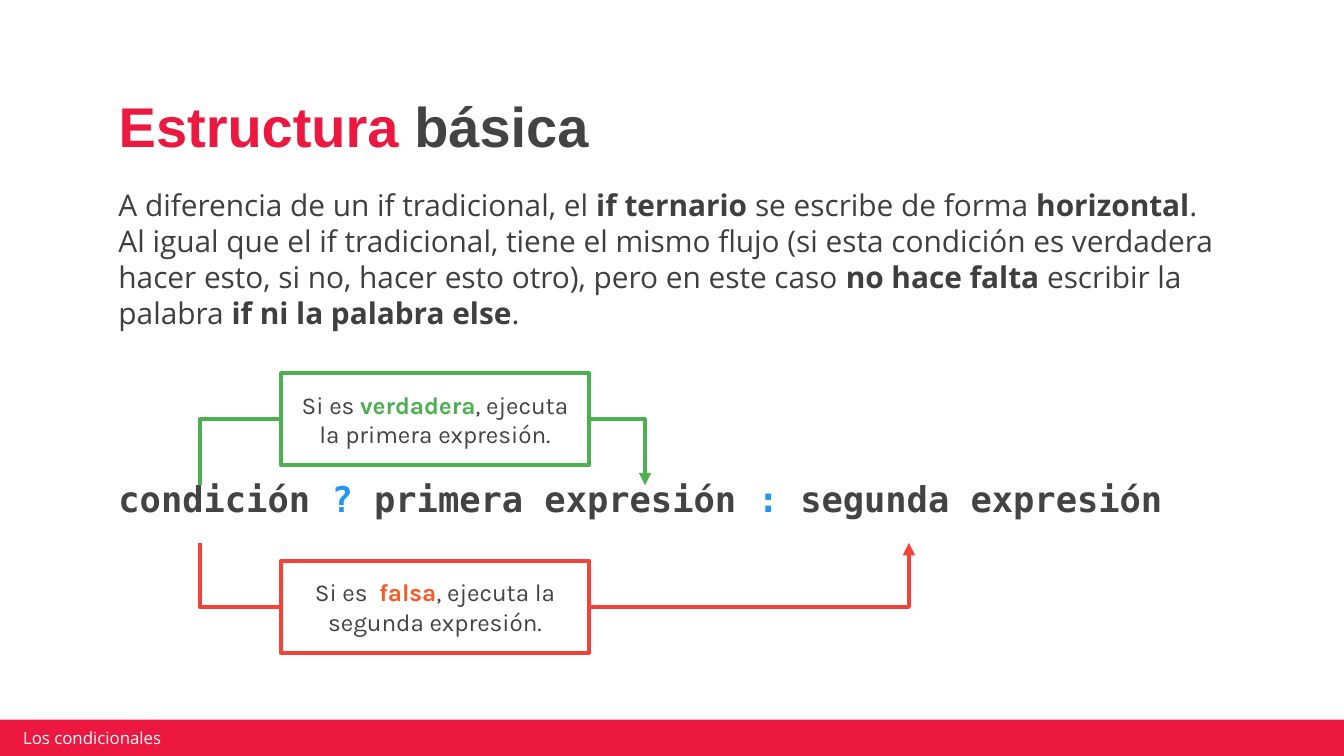
from lxml.etree import SubElement
from pptx import Presentation
from pptx.dml.color import RGBColor
from pptx.enum.shapes import MSO_CONNECTOR, MSO_SHAPE
from pptx.enum.text import MSO_ANCHOR, PP_ALIGN
from pptx.oxml.ns import qn
from pptx.util import Pt

RED = RGBColor(0xEC, 0x18, 0x3F)
DARK = RGBColor(0x43, 0x43, 0x43)
BODY = RGBColor(0x3F, 0x3F, 0x3F)
GREEN = RGBColor(0x4C, 0xAF, 0x50)
TOMATO = RGBColor(0xF4, 0x43, 0x36)
ORANGE = RGBColor(0xFF, 0x57, 0x22)
BLUE = RGBColor(0x21, 0x96, 0xF3)
WHITE = RGBColor(0xFF, 0xFF, 0xFF)


def write(sp, runs, font, size, inset=(7.2, 7.2), anchor=MSO_ANCHOR.TOP,
          align=PP_ALIGN.LEFT):
    """Fill a shape with one paragraph of (text, colour, bold) runs."""
    tf = sp.text_frame
    dx, dy = map(Pt, inset)
    frame = {"word_wrap": True, "vertical_anchor": anchor,
             "margin_left": dx, "margin_right": dx,
             "margin_top": dy, "margin_bottom": dy}
    for name, value in frame.items():
        setattr(tf, name, value)
    p = tf.paragraphs[0]
    p.alignment = align
    for text, color, bold in runs:
        r = p.add_run()
        r.text = text
        r.font.color.rgb = color
        for name, value in {"name": font, "size": Pt(size), "bold": bold}.items():
            setattr(r.font, name, value)
    return p


def add_elbow(s, start, end, color, arrow):
    """Draw a one-bend line that leaves start horizontally."""
    c = s.shapes.add_connector(MSO_CONNECTOR.ELBOW, *map(Pt, start + end))
    c.line.color.rgb = color
    c.line.width = Pt(2.25)
    spPr = c._element.spPr
    spPr.find(qn("a:prstGeom")).set("prst", "bentConnector2")
    if arrow:
        SubElement(spPr.find(qn("a:ln")), qn("a:tailEnd"), type="triangle")
    SubElement(spPr, qn("a:effectLst"))


prs = Presentation()
prs.slide_width, prs.slide_height = Pt(720), Pt(405)
s = prs.slides.add_slide(prs.slide_layouts[5])

# Title and explanation
LEFT, WIDTH = 56.4, 607
title = s.shapes.title
for name, value in {"left": LEFT, "top": 43.2, "width": WIDTH, "height": 49.7}.items():
    setattr(title, name, Pt(value))
p = write(title, [("Estructura", RED, True), (" básica", DARK, True)],
          "Arial", 30, anchor=MSO_ANCHOR.BOTTOM)
p.line_spacing = 0.9

body = s.shapes.add_textbox(Pt(LEFT), Pt(92.9), Pt(WIDTH), Pt(38.2))
write(body, [
    ("A diferencia de un if tradicional, el ", BODY, False),
    ("if ternario", BODY, True),
    (" se escribe de forma ", BODY, False),
    ("horizontal", BODY, True),
    (". Al igual que el if tradicional, tiene el mismo flujo (si esta condición "
     "es verdadera hacer esto, si no, hacer esto otro), pero en este caso ", BODY, False),
    ("no hace falta", BODY, True),
    (" escribir la palabra ", BODY, False),
    ("if ni la palabra else", BODY, True),
    (".", BODY, False),
], "Open Sans", 16)

# Ternary syntax
code = s.shapes.add_textbox(Pt(LEFT), Pt(248.4), Pt(WIDTH), Pt(38.2))
p = write(code, [
    ("condición ", DARK, True),
    ("? ", BLUE, True),
    ("primera expresión ", DARK, True),
    (": ", BLUE, True),
    ("segunda expresión", DARK, True),
], "DejaVu Sans Mono", 19)
p.space_before = Pt(6)

# Branches: box, line back to the condition, arrow to the expression
BOX_X, BOX_W, BOX_H, CONDITION_X = 150.5, 165, 49.2, 107.2
branches = [
    (200, 260, 345.6, GREEN, GREEN, "Si es ", "verdadera",
     ", ejecuta la primera expresión."),
    (300.5, 290.9, 486.9, TOMATO, ORANGE, "Si es  ", "falsa",
     ", ejecuta la segunda expresión."),
]
for top, code_y, target_x, color, accent, before, word, after in branches:
    box = s.shapes.add_shape(MSO_SHAPE.ROUNDED_RECTANGLE,
                             Pt(BOX_X), Pt(top), Pt(BOX_W), Pt(BOX_H))
    box.adjustments[0] = 0
    box.shadow.inherit = False
    box.fill.background()
    box.line.color.rgb = color
    box.line.width = Pt(2.25)
    write(box, [(before, DARK, False), (word, accent, True), (after, DARK, False)],
          "Karla", 13, (5.8, 0), MSO_ANCHOR.MIDDLE, PP_ALIGN.CENTER)
    middle = top + BOX_H / 2
    add_elbow(s, (BOX_X, middle), (CONDITION_X, code_y), color, False)
    add_elbow(s, (BOX_X + BOX_W, middle), (target_x, code_y), color, True)

# Footer
bar = s.shapes.add_shape(MSO_SHAPE.RECTANGLE, Pt(-1.4), Pt(385.6), Pt(722), Pt(19.4))
bar.shadow.inherit = False
bar.fill.solid()
bar.fill.fore_color.rgb = RED
bar.line.fill.background()
footer = s.shapes.add_textbox(Pt(8.8), Pt(389.8), Pt(172), Pt(10.8))
write(footer, [("Los condicionales", WHITE, False)], "Open Sans", 9,
      (3.6, 1.4), MSO_ANCHOR.MIDDLE)

prs.save("out.pptx")
